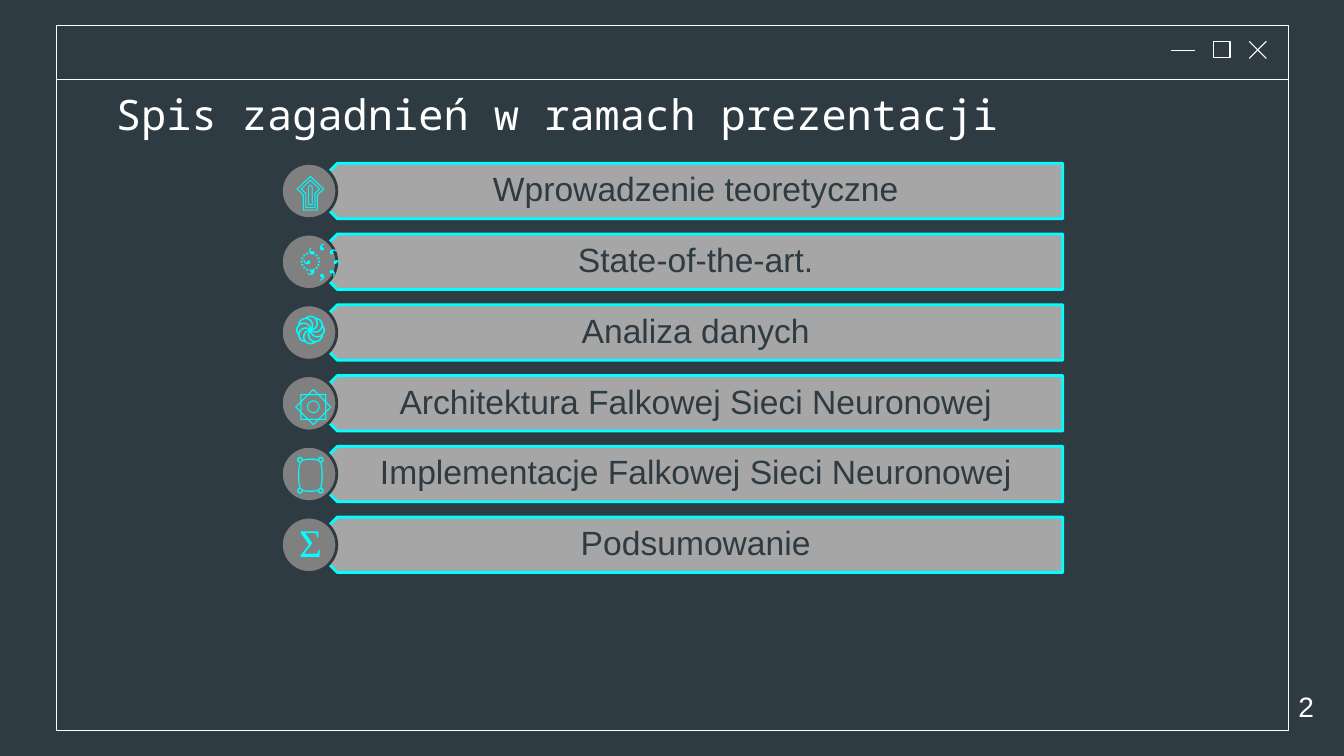
from pptx import Presentation
from pptx.dml.color import RGBColor
from pptx.enum.shapes import MSO_CONNECTOR, MSO_SHAPE
from pptx.enum.text import MSO_ANCHOR, MSO_AUTO_SIZE, PP_ALIGN
from pptx.oxml.ns import qn
from pptx.util import Inches, Pt

COLOURS = {
    "background": "2F3B42",
    "white": "FFFFFF",
    "plate": "A6A6A6",
    "circle": "808080",
    "accent": "00FFFF",
}
END_OF_AYAH = chr(0x06DD)
TOPICS = [
    ("Wprowadzenie teoretyczne", "۩", 1.62),
    ("State-of-the-art.", "҉", 2.28),
    ("Analiza danych", "֎", 2.98),
    ("Architektura Falkowej Sieci Neuronowej", "۞", 3.73),
    ("Implementacje Falkowej Sieci Neuronowej", END_OF_AYAH, 4.41),
    ("Podsumowanie", "Σ", 5.09),
]
FIRST_TOP, LAST_TOP, ROW_HEIGHT = 1.62, 5.13, 0.55


def colour(name):
    return RGBColor.from_string(COLOURS[name])


def add_box(page, kind, left, top, width, height, line, weight, fill=None):
    box = page.shapes.add_shape(kind, Inches(left), Inches(top), Inches(width), Inches(height))
    box.shadow.inherit = False
    if fill:
        box.fill.solid()
        box.fill.fore_color.rgb = colour(fill)
    else:
        box.fill.background()
    box.line.color.rgb = colour(line)
    box.line.width = Pt(weight)
    return box


def add_line(page, *ends):
    line = page.shapes.add_connector(MSO_CONNECTOR.STRAIGHT, *map(Inches, ends))
    line.line.color.rgb = colour("white")
    line.line.width = Pt(0.75)
    properties = line._element.spPr
    properties.append(properties.makeelement(qn("a:effectLst"), {}))


def set_text(box, text, font, size, ink, align=PP_ALIGN.LEFT, anchor=MSO_ANCHOR.TOP,
             insets=(0.1, 0.05, 0.1, 0.05), spacing=None):
    frame = box.text_frame
    frame.word_wrap = True
    frame.auto_size = MSO_AUTO_SIZE.NONE
    frame.vertical_anchor = anchor
    frame.margin_left, frame.margin_top, frame.margin_right, frame.margin_bottom = map(Inches, insets)
    para = frame.paragraphs[0]
    para.alignment = align
    para.line_spacing = spacing
    span = para.add_run()
    span.text = text
    span.font.name = font
    span.font.size = Pt(size)
    span.font.color.rgb = colour(ink)


def add_label(page, left, top, width, height, text, **style):
    box = page.shapes.add_textbox(Inches(left), Inches(top), Inches(width), Inches(height))
    set_text(box, text, **style)


def add_window(page):
    for frame in [(0.56, 0.25, 12.22, 7), (0.56, 0.25, 12.22, 0.54), (12.04, 0.41, 0.16, 0.16)]:
        add_box(page, MSO_SHAPE.RECTANGLE, *frame, line="white", weight=0.75)
    add_line(page, 12.39, 0.41, 12.56, 0.58)
    add_line(page, 12.56, 0.41, 12.39, 0.58)
    add_line(page, 11.61, 0.5, 11.85, 0.5)


def add_title(page, text):
    title = page.shapes.title
    title.left, title.top, title.width, title.height = map(Inches, (1.05, 0.78, 11.23, 0.84))
    set_text(title, text, font="Noto Sans Mono", size=30, ink="white", insets=(0.1,) * 4)


def add_topic(page, top, text):
    plate = add_box(page, MSO_SHAPE.PENTAGON, 3.07, top, 7.47, ROW_HEIGHT,
                    line="accent", weight=2, fill="plate")
    plate.rotation = 180
    add_label(page, 3.21, top, 7.33, ROW_HEIGHT, text, font="Arial", size=24, ink="background",
              align=PP_ALIGN.CENTER, anchor=MSO_ANCHOR.MIDDLE,
              insets=(0.24, 0.1, 0.19, 0.1), spacing=0.9)
    add_box(page, MSO_SHAPE.OVAL, 2.79, top, ROW_HEIGHT, ROW_HEIGHT,
            line="background", weight=2, fill="circle")


def main():
    deck = Presentation()
    deck.slide_width, deck.slide_height = Inches(13.33), Inches(7.5)
    page = deck.slides.add_slide(deck.slide_layouts[5])
    page.background.fill.solid()
    page.background.fill.fore_color.rgb = colour("background")
    add_window(page)
    add_title(page, "Spis zagadnień w ramach prezentacji")
    pitch = (LAST_TOP - FIRST_TOP) / (len(TOPICS) - 1)
    for row, (text, symbol, symbol_top) in enumerate(TOPICS):
        add_topic(page, FIRST_TOP + row * pitch, text)
        add_label(page, 2.82, symbol_top, 0.52, 0.57, symbol, font="Times New Roman",
                  size=28, ink="accent", align=PP_ALIGN.CENTER)
    add_label(page, 12.78, 6.79, 0.55, 0.71, "2", font="Arial", size=20, ink="white")
    deck.save("out.pptx")


if __name__ == "__main__":
    main()
